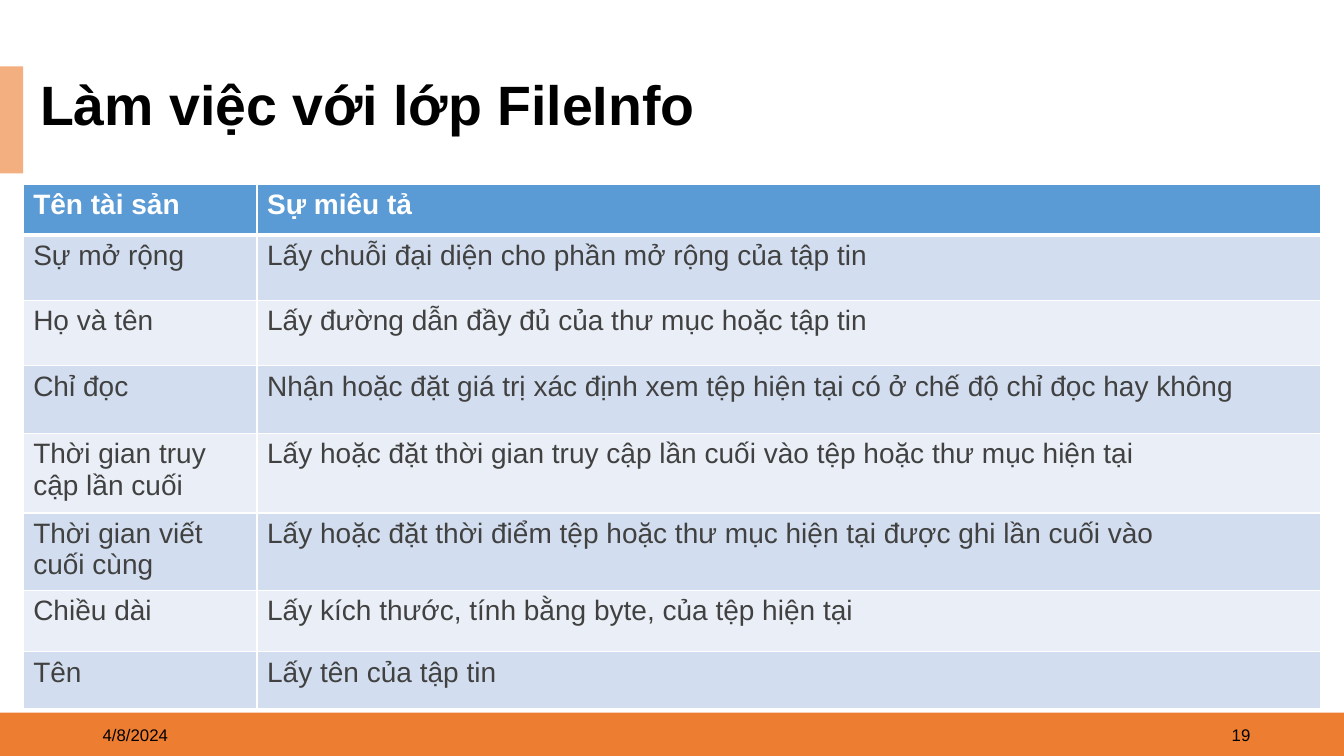
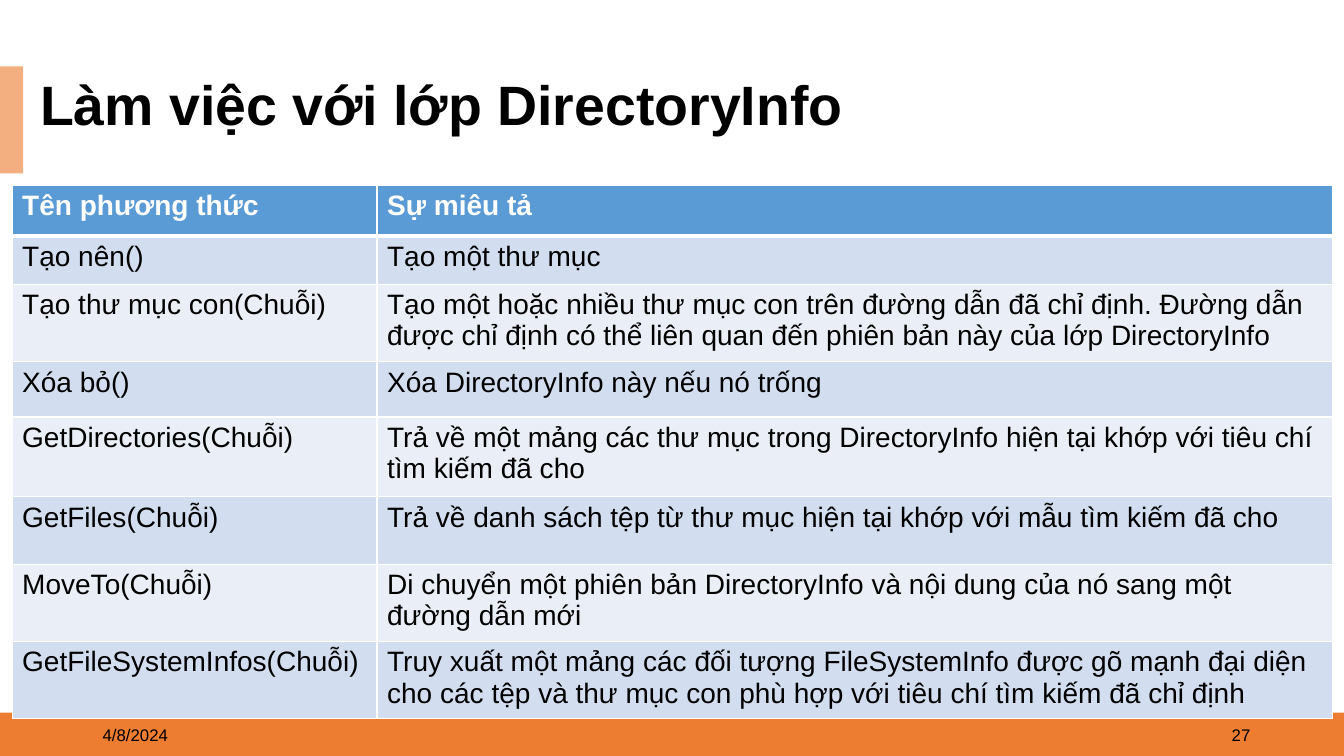
import pptx
import pptx.util
import pptx.dml.color
import pptx.enum.shapes
import pptx.enum.text
import pptx.oxml
import pptx.oxml.ns

Inches = pptx.util.Inches
Pt = pptx.util.Pt
RGBColor = pptx.dml.color.RGBColor
ALIGN = pptx.enum.text.PP_ALIGN
ANCHOR = pptx.enum.text.MSO_ANCHOR

WHITE = RGBColor(0xFF, 0xFF, 0xFF)
BLACK = RGBColor(0x00, 0x00, 0x00)
GREY = RGBColor(0x41, 0x41, 0x41)
ORANGE = RGBColor(0xED, 0x7D, 0x31)
PEACH = RGBColor(0xF4, 0xAF, 0x80)
BLUE = RGBColor(0x5B, 0x9B, 0xD5)
BANDS = (RGBColor(0xD2, 0xDE, 0xEF), RGBColor(0xEA, 0xEF, 0xF7))

FONT = "Arial"
DATE = "4/8/2024"
BAND_BOX = (0, 7.07, 13.33, 0.44)
ACCENT_BOX = (0, 0.66, 0.23, 1.06)
TITLE_STYLE = {"size": Pt(39.6), "bold": True}
FOOTER_STYLE = {"size": Pt(12)}
HEAD_STYLE = {"size": Pt(20), "bold": True}
BODY_STYLE = {"size": Pt(20), "bold": False}

SLIDES = [
    {
        "title": "Làm việc với lớp FileInfo",
        "title_width": 8.15,
        "number": "19",
        "origin": (0.23, 1.83),
        "cols": (2.32, 10.55),
        "heights": (0.5, 0.65, 0.65, 0.67, 0.79, 0.67, 0.61, 0.56),
        "color": GREY,
        "rows": [
            ("Tên tài sản", "Sự miêu tả"),
            ("Sự mở rộng", "Lấy chuỗi đại diện cho phần mở rộng của tập tin"),
            ("Họ và tên", "Lấy đường dẫn đầy đủ của thư mục hoặc tập tin"),
            ("Chỉ đọc", "Nhận hoặc đặt giá trị xác định xem tệp hiện tại có ở chế độ chỉ đọc hay không"),
            ("Thời gian truy cập lần cuối", "Lấy hoặc đặt thời gian truy cập lần cuối vào tệp hoặc thư mục hiện tại"),
            ("Thời gian viết cuối cùng", "Lấy hoặc đặt thời điểm tệp hoặc thư mục hiện tại được ghi lần cuối vào"),
            ("Chiều dài", "Lấy kích thước, tính bằng byte, của tệp hiện tại"),
            ("Tên", "Lấy tên của tập tin"),
        ],
    },
    {
        "title": "Làm việc với lớp DirectoryInfo",
        "title_width": 9.02,
        "number": "27",
        "origin": (0.12, 1.84),
        "cols": (3.62, 9.48),
        "heights": (0.5, 0.48, 0.65, 0.55, 0.79, 0.67, 0.52, 0.56),
        "color": BLACK,
        "rows": [
            ("Tên phương thức", "Sự miêu tả"),
            ("Tạo nên()", "Tạo một thư mục"),
            ("Tạo thư mục con(Chuỗi)", "Tạo một hoặc nhiều thư mục con trên đường dẫn đã chỉ định. Đường dẫn được chỉ định có thể liên quan đến phiên bản này của lớp DirectoryInfo"),
            ("Xóa bỏ()", "Xóa DirectoryInfo này nếu nó trống"),
            ("GetDirectories(Chuỗi)", "Trả về một mảng các thư mục trong DirectoryInfo hiện tại khớp với tiêu chí tìm kiếm đã cho"),
            ("GetFiles(Chuỗi)", "Trả về danh sách tệp từ thư mục hiện tại khớp với mẫu tìm kiếm đã cho"),
            ("MoveTo(Chuỗi)", "Di chuyển một phiên bản DirectoryInfo và nội dung của nó sang một đường dẫn mới"),
            ("GetFileSystemInfos(Chuỗi)", "Truy xuất một mảng các đối tượng FileSystemInfo được gõ mạnh đại diện cho các tệp và thư mục con phù hợp với tiêu chí tìm kiếm đã chỉ định"),
        ],
    },
]


def write(tf, text, style, color=BLACK, **para):
    p = tf.paragraphs[0]
    for name, value in para.items():
        setattr(p, name, value)
    r = p.add_run()
    r.text = text
    for name, value in {"name": FONT, **style}.items():
        setattr(r.font, name, value)
    r.font.color.rgb = color


def add_rect(s, box, color):
    sp = s.shapes.add_shape(pptx.enum.shapes.MSO_SHAPE.RECTANGLE, *map(Inches, box))
    sp.shadow.inherit = False
    sp.fill.solid()
    sp.fill.fore_color.rgb = color
    sp.line.fill.background()


def add_text(s, box, text, style, **para):
    sp = s.shapes.add_textbox(*map(Inches, box))
    tf = sp.text_frame
    for name, value in {"word_wrap": True, "vertical_anchor": ANCHOR.MIDDLE}.items():
        setattr(tf, name, value)
    write(tf, text, style, **para)
    return sp


def add_footer(s, box, number):
    left, top, width, height = box
    add_rect(s, box, ORANGE)
    for x, text, align in ((0.92, DATE, ALIGN.LEFT), (width - 3.83, number, ALIGN.RIGHT)):
        add_text(s, (left + x, top + 0.02, 3, 0.4), text, FOOTER_STYLE, alignment=align)


def add_title(s, box, text):
    sp = add_text(s, box, text, TITLE_STYLE, line_spacing=0.9)
    sp.fill.solid()
    sp.fill.fore_color.rgb = WHITE


def set_borders(cell, widths):
    tc_pr = cell._tc.get_or_add_tcPr()
    for i, (side, width) in enumerate(widths.items()):
        tc_pr.insert(i, pptx.oxml.parse_xml(
            f'<a:ln{side} {pptx.oxml.ns.nsdecls("a")} w="{Pt(width)}">'
            f'<a:solidFill><a:srgbClr val="{WHITE}"/></a:solidFill></a:ln{side}>'))


def add_grid(s, origin, cols, heights, rows, color):
    box = (*origin, sum(cols), sum(heights))
    table = s.shapes.add_table(len(rows), len(cols), *map(Inches, box)).table
    for col, width in zip(table.columns, cols):
        col.width = Inches(width)
    for i, (row, height, texts) in enumerate(zip(table.rows, heights, rows)):
        row.height = Inches(height)
        head = i == 0
        for cell, text in zip(row.cells, texts):
            cell.fill.solid()
            cell.fill.fore_color.rgb = BLUE if head else BANDS[(i - 1) % 2]
            set_borders(cell, {"L": 1, "R": 1, "T": 3 if i == 1 else 1, "B": 3 if head else 1})
            if head:
                write(cell.text_frame, text, HEAD_STYLE, WHITE, space_before=Pt(6), space_after=Pt(6))
            else:
                write(cell.text_frame, text, BODY_STYLE, color)


def add_table_slide(prs, data):
    s = prs.slides.add_slide(prs.slide_layouts[6])
    add_footer(s, BAND_BOX, data["number"])
    add_rect(s, ACCENT_BOX, PEACH)
    add_title(s, (0.3, 0.75, data["title_width"], 0.63), data["title"])
    add_grid(s, data["origin"], data["cols"], data["heights"], data["rows"], data["color"])


def main():
    prs = pptx.Presentation()
    prs.slide_width = Inches(13.33)
    prs.slide_height = Inches(7.5)
    for data in SLIDES:
        add_table_slide(prs, data)
    prs.save("out.pptx")


if __name__ == "__main__":
    main()
